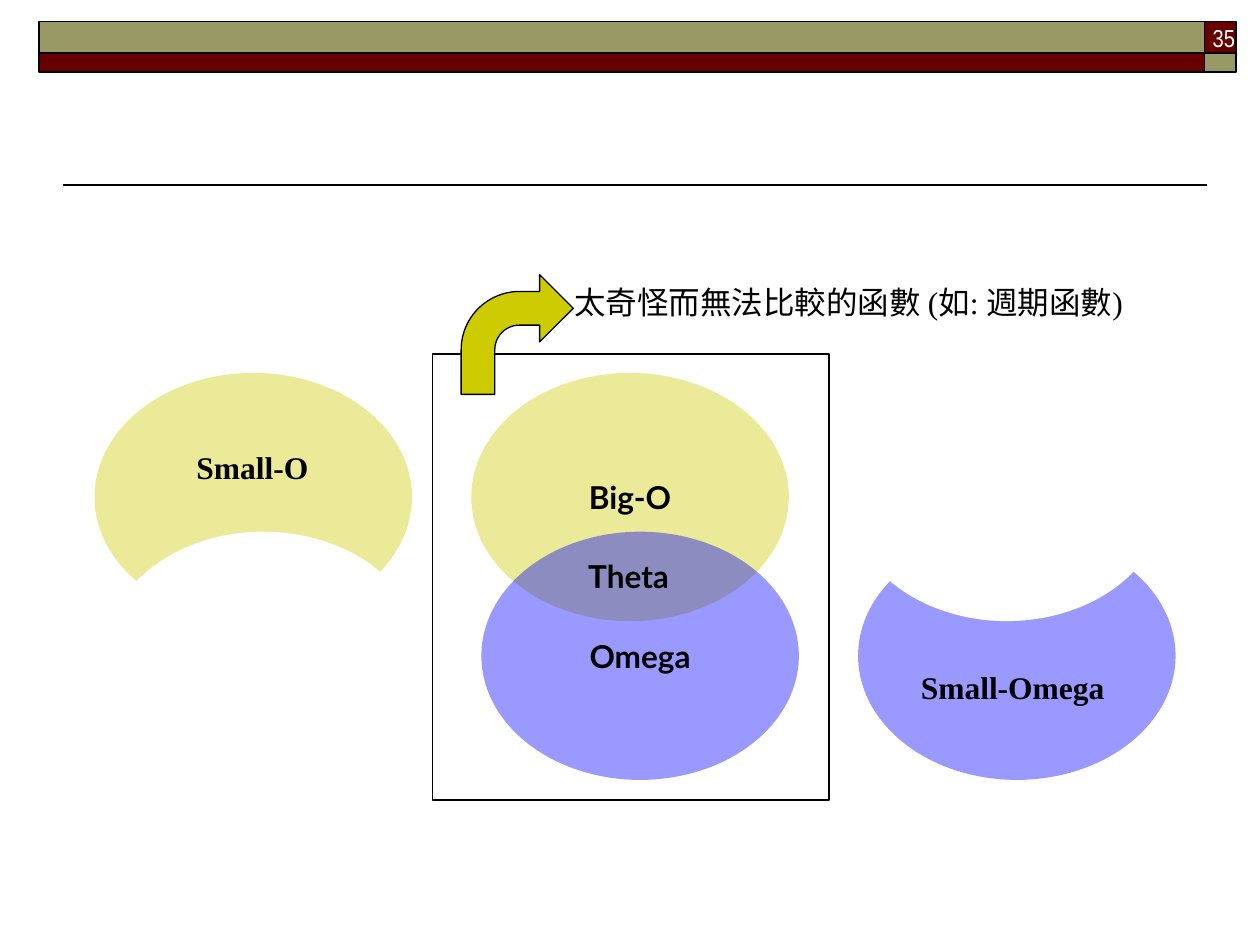
"""Build a slide comparing the growth classes Big-O, Theta, Omega, Small-O and Small-Omega."""
from lxml import etree
from pptx import Presentation
from pptx import util as u
from pptx.dml.color import RGBColor
from pptx.enum import shapes, text
from pptx.oxml.ns import qn

COLORS = {"maroon": "660000", "olive": "999966", "yellow": "CCCC00",
          "blue": "0000FF", "white": "FFFFFF", "black": "000000"}
SERIF, SANS = "Times New Roman", "Lato"
KIND = shapes.MSO_SHAPE

deck = Presentation()
deck.slide_width, deck.slide_height = u.Inches(10), u.Inches(7.5)
page = deck.slides.add_slide(deck.slide_layouts[6])
column, row = deck.slide_width / 40, deck.slide_height / 30


def add_shape(kind, left, top, width, height, fill=None, line=0, opacity=100):
    shape = page.shapes.add_shape(kind, int(left * column), int(top * row),
                                  int(width * column), int(height * row))
    shape.shadow.inherit = False
    if fill:
        shape.fill.solid()
        shape.fill.fore_color.rgb = RGBColor.from_string(COLORS[fill])
    else:
        shape.fill.background()
    if opacity < 100:
        color = shape._element.spPr.find(qn("a:solidFill"))[0]
        etree.SubElement(color, qn("a:alpha"), val=str(opacity * 1000))
    if line:
        shape.line.color.rgb = RGBColor.from_string(COLORS["black"])
        shape.line.width = u.Pt(line)
    else:
        shape.line.fill.background()
    return shape


def write(shape, words, font, size=18, bold=True, color="black",
          align=text.PP_ALIGN.LEFT, wrap=False):
    shape.text_frame.word_wrap = wrap
    para = shape.text_frame.paragraphs[0]
    para.text, para.alignment = words, align
    para.font.name, para.font.size, para.font.bold = font, u.Pt(size), bold
    para.font.color.rgb = RGBColor.from_string(COLORS[color])


wide, narrow, header_left, header_top = 37, 1, 1.24, 0.68
for left, top, width, height, fill in (
        (header_left + wide, header_top, narrow, 1, "maroon"),
        (header_left, header_top, wide, 1, "olive"),
        (header_left, header_top + 1, wide, 0.6, "maroon"),
        (header_left + wide, header_top + 1, narrow, 0.6, "olive")):
    add_shape(KIND.RECTANGLE, left, top, width, height, fill, line=1)

rule = page.shapes.add_connector(shapes.MSO_CONNECTOR.STRAIGHT, int(38.32 * column),
                                 int(5.88 * row), int(2 * column), int(5.88 * row))
rule.line.color.rgb = RGBColor.from_string(COLORS["black"])
rule.line.width = u.Pt(1)
etree.SubElement(rule._element.spPr, qn("a:effectLst"))

add_shape(KIND.RECTANGLE, 13.72, 11.24, 12.6, 14.16, line=0.75)

upper, lower = 11.84, 16.88
for left, top, fill, opacity, label in (
        (14.96, upper, "yellow", 40, "Big-O"),
        (15.28, lower, "blue", 40, "Omega"),
        (3, upper, "yellow", 40, None),
        (3.32, lower, "white", 100, None),
        (27.24, lower, "blue", 40, None),
        (26.92, upper, "white", 100, None)):
    ellipse = add_shape(KIND.OVAL, left, top, 10.08, 7.88, fill, opacity=opacity)
    if label:
        ellipse.text_frame.vertical_anchor = text.MSO_ANCHOR.MIDDLE
        write(ellipse, label, SANS, align=text.PP_ALIGN.CENTER)

arrow = add_shape(KIND.BENT_ARROW, 14.64, 8.72, 3.56, 3.8, "yellow", line=0.75)
for index, share in enumerate((0.3, 0.3, 0.3, 0.52)):
    arrow.adjustments[index] = share

for left, top, width, words, font, bold in (
        (18.28, 17.48, 3.64, "Theta", SANS, True),
        (5.84, 14.04, 4.36, "Small-O", SERIF, True),
        (28.84, 21, 6.64, "Small-Omega", SERIF, True),
        (17.84, 8.8, 19.44, "太奇怪而無法比較的函數 (如: 週期函數)", SERIF, False)):
    box = page.shapes.add_textbox(int(left * column), int(top * row),
                                  int(width * column), int(1.6 * row))
    write(box, words, font, bold=bold)

number = page.shapes.add_textbox(int(31.28 * column), int(0.52 * row),
                                 int(8.32 * column), int(1.28 * row))
write(number, "35", "Arial Narrow", size=14, bold=False, color="white",
      align=text.PP_ALIGN.RIGHT, wrap=True)

deck.save("out.pptx")
